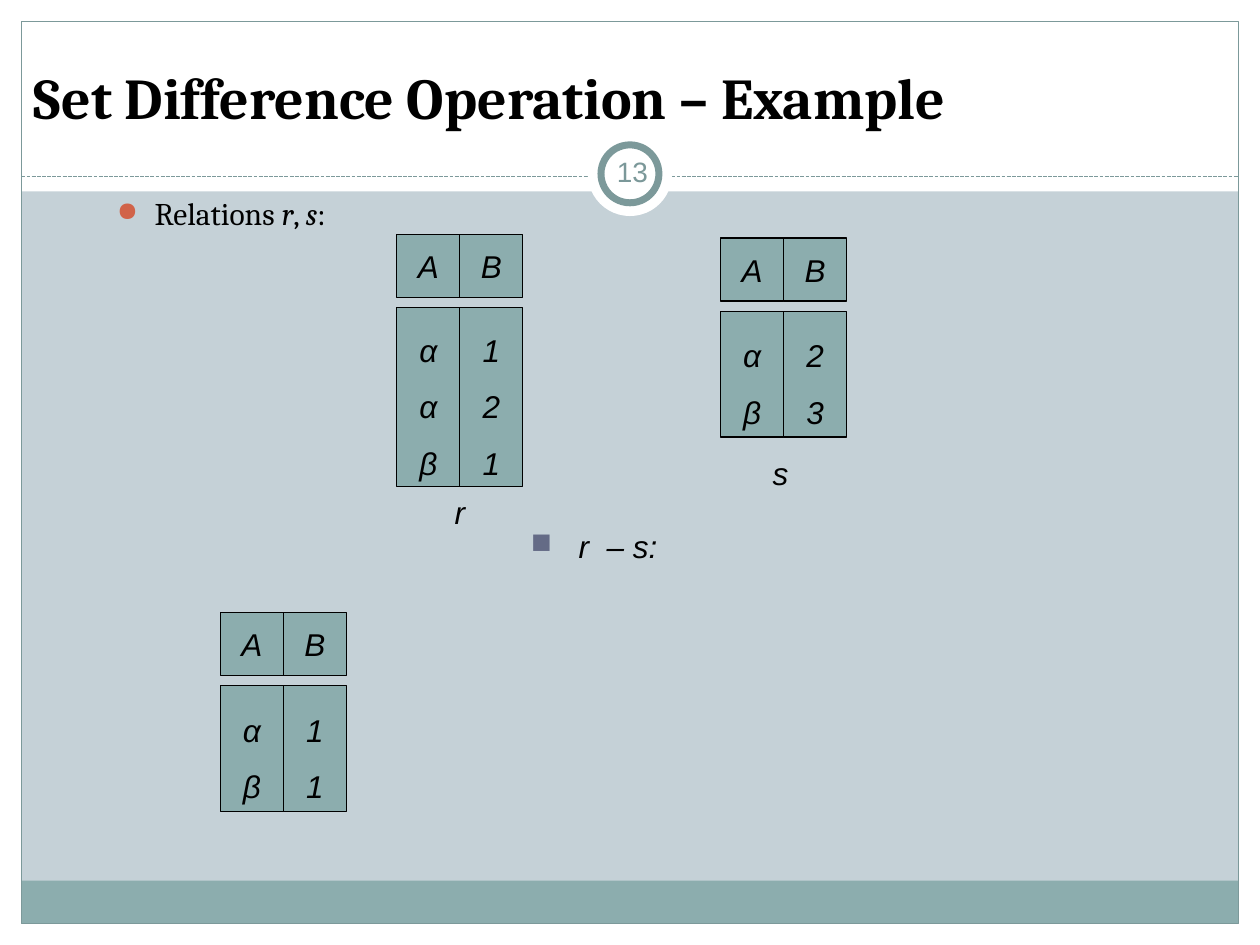
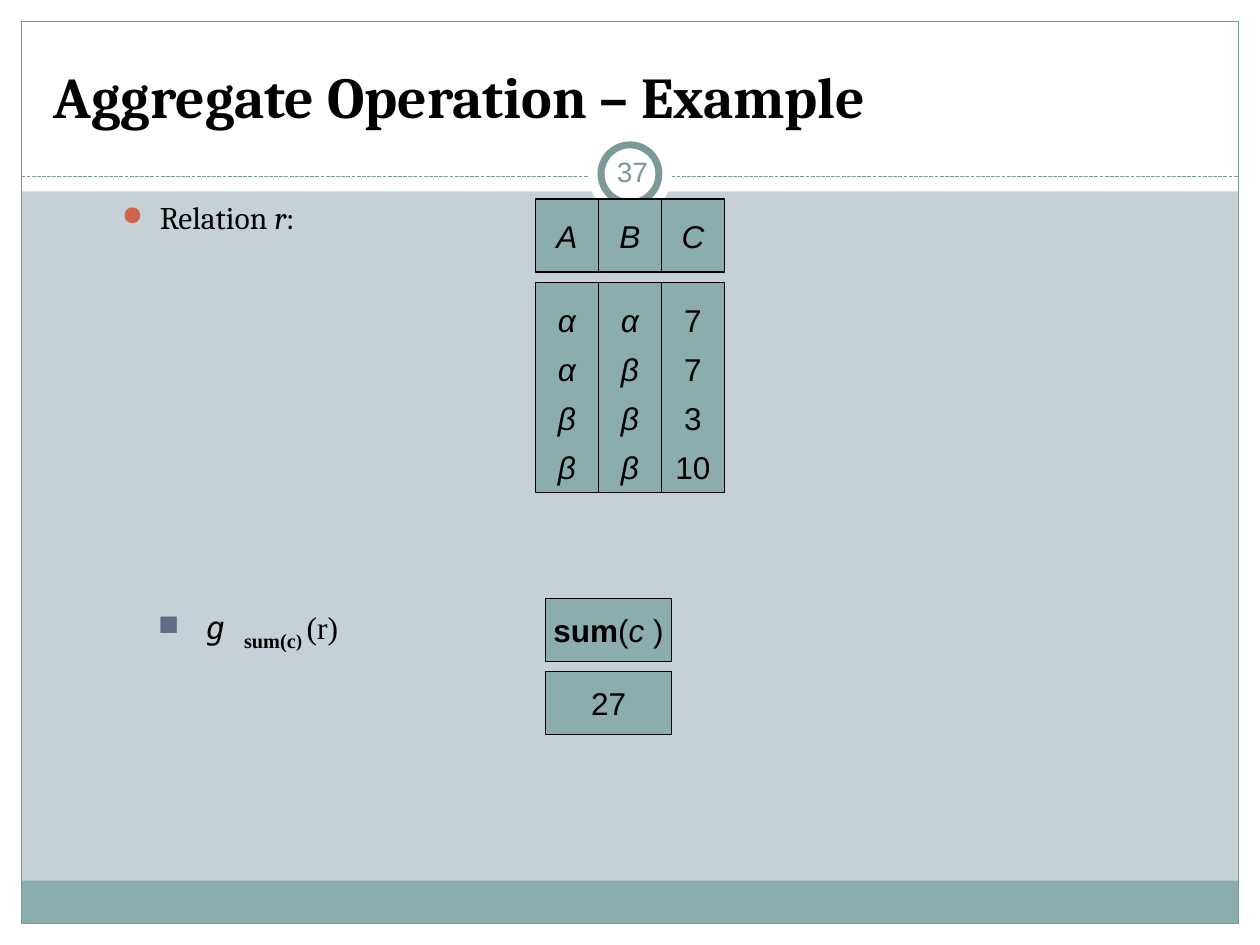
from dataclasses import dataclass

from lxml import etree
from pptx import Presentation
from pptx import util as u
from pptx.dml.color import RGBColor
from pptx.enum import dml, shapes, text
from pptx.oxml.ns import qn


@dataclass(frozen=True)
class Theme:
    page: str = "C5D1D7"
    paper: str = "FFFFFF"
    band: str = "8CADAE"
    rule: str = "7C999A"
    number: str = "7B9899"
    ink: str = "000000"
    first_bullet: str = "D16349"
    second_bullet: str = "646B86"
    serif: str = "Cambria"
    sans: str = "Arial"
    mono: str = "DejaVu Sans Mono"
    roman: str = "Times New Roman"
    title_size: int = 33
    text_size: int = 18
    subscript_size: int = 20
    number_size: int = 16
    hairline: float = 0.75
    ring_line: float = 4


THEME = Theme()
WIDTH, HEIGHT = 10, 7.5
MARGIN = 0.17
HEADER_HEIGHT, RULE_TOP = 1.52, 1.4
BAND_HEIGHT = 0.34
BADGE_CENTER = 1.38
COLUMN, ROW, GAP = 0.5, 0.5, 0.08

ITALIC = {"italic": True}
BOLD = {"bold": True}
SUBSCRIPT = {"bold": True, "name": THEME.roman, "baseline": -25000}
FIRST_LEVEL = {"mark": "●", "color": THEME.first_bullet, "percent": 85, "indent": 0.3}
SECOND_LEVEL = {"mark": "■", "color": THEME.second_bullet, "percent": 90, "indent": 0.38}

SLIDES = [
    {
        "number": "13",
        "title": ("Set Difference Operation – Example", (0.17, 0.42, 8.83, 0.67)),
        "bullets": [
            {"box": (0.83, 1.55, 7.5, 0.37), "level": FIRST_LEVEL, "spacing": 0.8,
             "runs": [("Relations ", {}), ("r", ITALIC), (", ", {}), ("s", ITALIC), (":", {})]},
            {"box": (0.87, 4.17, 7.69, 0.36), "level": SECOND_LEVEL, "spacing": 0.9,
             "centered": True, "font": THEME.sans, "runs": [("r  – s:", ITALIC)]},
        ],
        "relations": [
            {"at": (3.15, 1.86), "columns": {"A": "ααβ", "B": "121"}, "body": 1.42},
            {"at": (5.72, 1.89), "columns": {"A": "αβ", "B": "23"}, "body": 1},
            {"at": (1.75, 4.86), "columns": {"A": "αβ", "B": "11"}, "body": 1},
        ],
        "labels": [("r", (3.51, 3.86, 0.28, 0.4)), ("s", (6.03, 3.55, 0.33, 0.4))],
        "results": [],
    },
    {
        "number": "37",
        "title": ("Aggregate Operation – Example", (0.33, 0.25, 9.33, 0.83)),
        "bullets": [
            {"box": (0.87, 1.52, 1.93, 0.63), "level": FIRST_LEVEL,
             "runs": [("Relation ", {}), ("r", ITALIC), (":", {})]},
            {"box": (0.87, 4.75, 2.2, 0.61), "level": SECOND_LEVEL, "centered": True,
             "runs": [("g ", {"italic": True, "name": THEME.mono}),
                      ("sum(c", {**SUBSCRIPT, "size": THEME.subscript_size}),
                      (") ", SUBSCRIPT), ("(r)", {"name": THEME.roman})]},
        ],
        "relations": [
            {"at": (4.25, 1.58), "header": 0.58, "body": 1.67, "spacing": 1.3, "upright": "C",
             "columns": {"A": "ααββ", "B": "αβββ", "C": ["7", "7", "3", "10"]}},
        ],
        "labels": [],
        "results": [
            {"at": (4.33, 4.75),
             "rows": [[("sum", BOLD), ("(", {}), ("c ", ITALIC), (")", {})], [("27", {})]]},
        ],
    },
]


def inches(box):
    return [u.Inches(length) for length in box]


def color(value):
    return RGBColor.from_string(value)


def draw_shape(slide, box, fill=None, line=None, weight=THEME.hairline,
               kind=shapes.MSO_SHAPE.RECTANGLE):
    shape = slide.shapes.add_shape(kind, *inches(box))
    shape.shadow.inherit = False
    if fill:
        shape.fill.solid()
        shape.fill.fore_color.rgb = color(fill)
    else:
        shape.fill.background()
    if line:
        shape.line.color.rgb = color(line)
        shape.line.width = u.Pt(weight)
    else:
        shape.line.fill.background()
    return shape


def add_bullet(paragraph, level):
    properties = paragraph._p.get_or_add_pPr()
    indent = u.Inches(level["indent"])
    properties.set("marL", str(indent))
    properties.set("indent", str(-indent))
    bullet_color = etree.SubElement(properties, qn("a:buClr"))
    etree.SubElement(bullet_color, qn("a:srgbClr"), val=level["color"])
    etree.SubElement(properties, qn("a:buSzPct"), val=str(level["percent"] * 1000))
    etree.SubElement(properties, qn("a:buChar"), char=level["mark"])


def style_font(font, name=None, size=None, ink=None, bold=None, italic=None):
    if name:
        font.name = name
    if size:
        font.size = u.Pt(size)
    if ink:
        font.color.rgb = color(ink)
    if bold is not None:
        font.bold = bold
    if italic is not None:
        font.italic = italic


def write(shape, paragraphs, name=THEME.sans, size=THEME.text_size, ink=THEME.ink,
          centered=True, spacing=None, level=None, wrap=False,
          anchor=text.MSO_ANCHOR.MIDDLE, **base):
    frame = shape.text_frame
    frame.word_wrap = wrap
    frame.vertical_anchor = anchor
    for index, runs in enumerate(paragraphs):
        paragraph = frame.add_paragraph() if index else frame.paragraphs[0]
        if level:
            add_bullet(paragraph, level)
        paragraph.alignment = text.PP_ALIGN.CENTER if centered else text.PP_ALIGN.LEFT
        if spacing:
            paragraph.line_spacing = spacing
        style_font(paragraph.font, name, size, ink, **base)
        for words, changes in runs:
            run = paragraph.add_run()
            run.text = words
            changes = dict(changes)
            baseline = changes.pop("baseline", None)
            style_font(run.font, **changes)
            if baseline:
                run.font._element.set("baseline", str(baseline))


def draw_frame(slide):
    slide.background.fill.solid()
    slide.background.fill.fore_color.rgb = color(THEME.page)
    for box in [
        (0, HEIGHT - MARGIN, WIDTH, MARGIN),
        (0, 0, WIDTH, HEADER_HEIGHT),
        (0, 0, MARGIN, HEIGHT),
        (WIDTH - MARGIN, 0, MARGIN, HEIGHT),
    ]:
        draw_shape(slide, box, THEME.paper)
    inner_width = WIDTH - 2 * MARGIN
    band_top = HEIGHT - MARGIN - BAND_HEIGHT
    draw_shape(slide, (MARGIN, band_top, inner_width, BAND_HEIGHT), THEME.band)
    draw_shape(slide, (MARGIN, MARGIN, inner_width, HEIGHT - 2 * MARGIN), line=THEME.rule)
    rule = slide.shapes.add_connector(
        shapes.MSO_CONNECTOR.STRAIGHT,
        *inches((MARGIN, RULE_TOP, WIDTH - MARGIN, RULE_TOP)))
    rule.line.color.rgb = color(THEME.rule)
    rule.line.width = u.Pt(THEME.hairline)
    rule.line.dash_style = dml.MSO_LINE.SQUARE_DOT
    etree.SubElement(rule._element.spPr, qn("a:effectLst"))
    for diameter, line in [(0.67, None), (0.46, THEME.rule)]:
        box = ((WIDTH - diameter) / 2, BADGE_CENTER - diameter / 2, diameter, diameter)
        draw_shape(slide, box, THEME.paper, line, THEME.ring_line, shapes.MSO_SHAPE.OVAL)


def draw_title(slide, title, box):
    write(slide.shapes.add_textbox(*inches(box)), [[(title, {})]], THEME.serif,
          THEME.title_size, centered=False, wrap=True,
          anchor=text.MSO_ANCHOR.BOTTOM, bold=True)


def draw_bullet(slide, box, level, runs, font=THEME.serif, spacing=None, centered=False):
    write(slide.shapes.add_textbox(*inches(box)), [runs], font, centered=centered,
          spacing=spacing, level=level, wrap=True, anchor=text.MSO_ANCHOR.TOP)


def draw_cell(slide, box, paragraphs, **style):
    write(draw_shape(slide, box, THEME.band, THEME.ink), paragraphs, **style)


def draw_relation(slide, at, columns, body, header=ROW, spacing=1.5, upright=""):
    left, top = at
    for index, (name, values) in enumerate(columns.items()):
        x = left + index * COLUMN
        draw_cell(slide, (x, top, COLUMN, header), [[(name, {})]], italic=True)
        draw_cell(slide, (x, top + header + GAP, COLUMN, body),
                  [[(value, {})] for value in values],
                  spacing=spacing, italic=name not in upright)


def draw_result(slide, at, rows):
    left, top = at
    for index, runs in enumerate(rows):
        draw_cell(slide, (left, top + index * (ROW + GAP), 2 * COLUMN, ROW), [runs])


def draw_number(slide, number):
    box = slide.shapes.add_textbox(*inches((4.77, 1.12, 0.5, 0.48)))
    frame = box.text_frame
    frame.margin_left = frame.margin_right = u.Inches(0.05)
    write(box, [[(number, {})]], size=THEME.number_size, ink=THEME.number, wrap=True)


def main():
    presentation = Presentation()
    presentation.slide_width, presentation.slide_height = inches((WIDTH, HEIGHT))
    for content in SLIDES:
        slide = presentation.slides.add_slide(presentation.slide_layouts[6])
        draw_frame(slide)
        draw_title(slide, *content["title"])
        for bullet in content["bullets"]:
            draw_bullet(slide, **bullet)
        for relation in content["relations"]:
            draw_relation(slide, **relation)
        for label, box in content["labels"]:
            write(slide.shapes.add_textbox(*inches(box)), [[(label, {})]], italic=True)
        for result in content["results"]:
            draw_result(slide, **result)
        draw_number(slide, content["number"])
    presentation.save("out.pptx")


if __name__ == "__main__":
    main()
